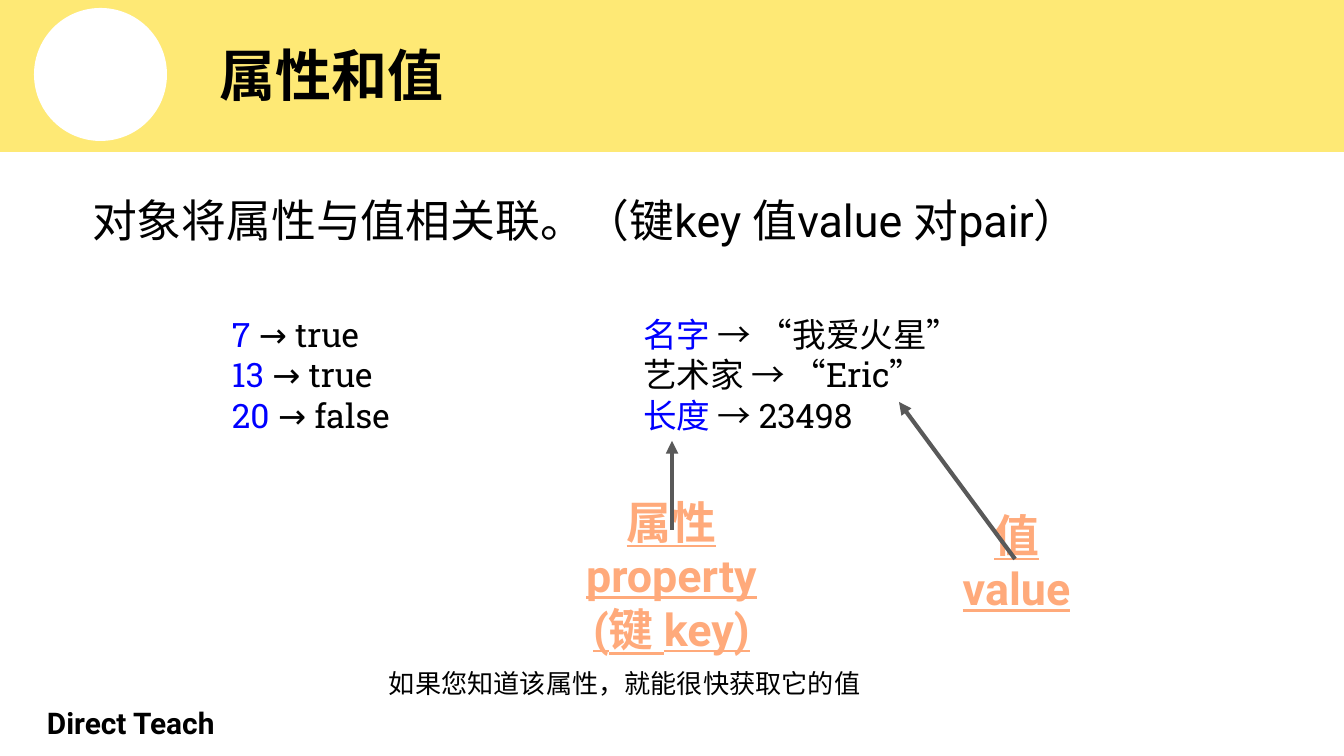
from dataclasses import dataclass

from lxml.etree import SubElement
from pptx import Presentation
from pptx.dml.color import RGBColor
from pptx.enum.shapes import MSO_CONNECTOR as Connector, MSO_SHAPE as Shape
from pptx.enum.text import MSO_ANCHOR as Anchor, MSO_AUTO_SIZE as AutoSize, PP_ALIGN as Align
from pptx.oxml.ns import qn
from pptx.util import Inches, Pt

SCALE = Inches(10) / 1344  # EMU per px


@dataclass(frozen=True)
class Theme:
    black: str = "000000"
    white: str = "FFFFFF"
    yellow: str = "FEE975"
    blue: str = "0000FF"
    orange: str = "FFAA7B"
    gray: str = "595959"
    title: int = 30
    body: int = 24
    code: int = 18
    footer: int = 16
    caption: int = 14
    sans: str = "Roboto"
    slab: str = "Roboto Slab"
    plain: str = "Arial"


def px(*lengths):
    return [round(length * SCALE) for length in lengths]


def rgb(color):
    return RGBColor.from_string(color)


class SlideBuilder:
    def __init__(self, page, theme):
        self.page = page
        self.theme = theme

    def shape(self, kind, bounds, fill, outlined=False):
        shape = self.page.shapes.add_shape(kind, *px(*bounds))
        shape.shadow.inherit = False
        shape.fill.solid()
        shape.fill.fore_color.rgb = rgb(fill)
        if outlined:
            shape.line.color.rgb = rgb(fill)
            shape.line.width = Pt(0.75)
        else:
            shape.line.fill.background()

    def text(self, bounds, lines, size, font=None, color=None, bold=False,
             underline=False, align=Align.LEFT, anchor=Anchor.TOP,
             insets=(13, 13, 13, 13), spacing=None, wrap=True):
        """Each line is a list of (text, color) runs; None means the box color."""
        box = self.page.shapes.add_textbox(*px(*bounds))
        frame = box.text_frame
        frame.word_wrap = wrap
        frame.auto_size = AutoSize.NONE if wrap else AutoSize.SHAPE_TO_FIT_TEXT
        frame.vertical_anchor = anchor
        (frame.margin_left, frame.margin_top,
         frame.margin_right, frame.margin_bottom) = px(*insets)
        for index, line in enumerate(lines):
            para = frame.add_paragraph() if index else frame.paragraphs[0]
            para.alignment = align
            if spacing:
                para.line_spacing = spacing
            for words, run_color in line:
                span = para.add_run()
                span.text = words
                span.font.name = font or self.theme.sans
                span.font.size = Pt(size)
                span.font.bold = bold
                span.font.underline = underline
                span.font.color.rgb = rgb(run_color or color or self.theme.black)

    def pairs(self, bounds, rows):
        """Key and value lines; a key may be highlighted."""
        lines = [[(key, key_color), (f" → {value}", None)]
                 for key, value, key_color in rows]
        self.text(bounds, lines, self.theme.code, self.theme.slab)

    def label(self, bounds, lines, **options):
        self.text(bounds, [[(line, None)] for line in lines], self.theme.body,
                  color=self.theme.orange, bold=True, underline=True,
                  align=Align.CENTER, **options)

    def arrow(self, start, end):
        arrow = self.page.shapes.add_connector(Connector.STRAIGHT, *px(*start, *end))
        arrow.line.color.rgb = rgb(self.theme.gray)
        arrow.line.width = Pt(2.25)
        SubElement(arrow.line._get_or_add_ln(), qn("a:tailEnd"), type="triangle")
        SubElement(arrow._element.spPr, qn("a:effectLst"))


def main():
    deck = Presentation()
    deck.slide_width, deck.slide_height = px(1344, 756)
    theme = Theme()
    slide = SlideBuilder(deck.slides.add_slide(deck.slide_layouts[6]), theme)

    # Header band and footer
    slide.shape(Shape.RECTANGLE, (0, -1, 1344, 152), theme.yellow, outlined=True)
    slide.shape(Shape.OVAL, (34, 8, 133, 133), theme.white)
    slide.text((34, 706, 403, 34), [[("Direct Teach", None)]], theme.footer,
               bold=True, anchor=Anchor.MIDDLE)
    slide.text((207, 8, 1102, 133), [[("属性和值", None)]], theme.title,
               bold=True, anchor=Anchor.MIDDLE)

    # Key and value examples
    slide.pairs((219, 301, 289, 155), [("7", "true", theme.blue),
                                       ("13", "true", theme.blue),
                                       ("20", "false", theme.blue)])
    slide.pairs((630, 301, 410, 155), [("名字", "“我爱火星”", theme.blue),
                                       ("艺术家", "“Eric”", None),
                                       ("长度", "23498", theme.blue)])

    # Labels and the arrows that tie them to the examples
    slide.label((560, 530, 223, 90), ["属性 property", "(键 key)"],
                anchor=Anchor.MIDDLE)
    slide.label((941, 559, 151, 60), ["值 value"], anchor=Anchor.BOTTOM,
                insets=(13, 13, 13, 4))
    slide.arrow((1015, 559), (899, 402))
    slide.arrow((672, 530), (672, 441))

    # Statement and closing remark
    slide.text((79, 185, 1196, 75),
               [[("对象将属性与值相关联。（键key 值value 对pair）", None)]],
               theme.body, spacing=0.93)
    slide.text((376, 660, 503, 46),
               [[("如果您知道该属性，就能很快获取它的值", None)]],
               theme.caption, theme.plain, insets=(13, 7, 13, 7), wrap=False)

    deck.save("out.pptx")


if __name__ == "__main__":
    main()
